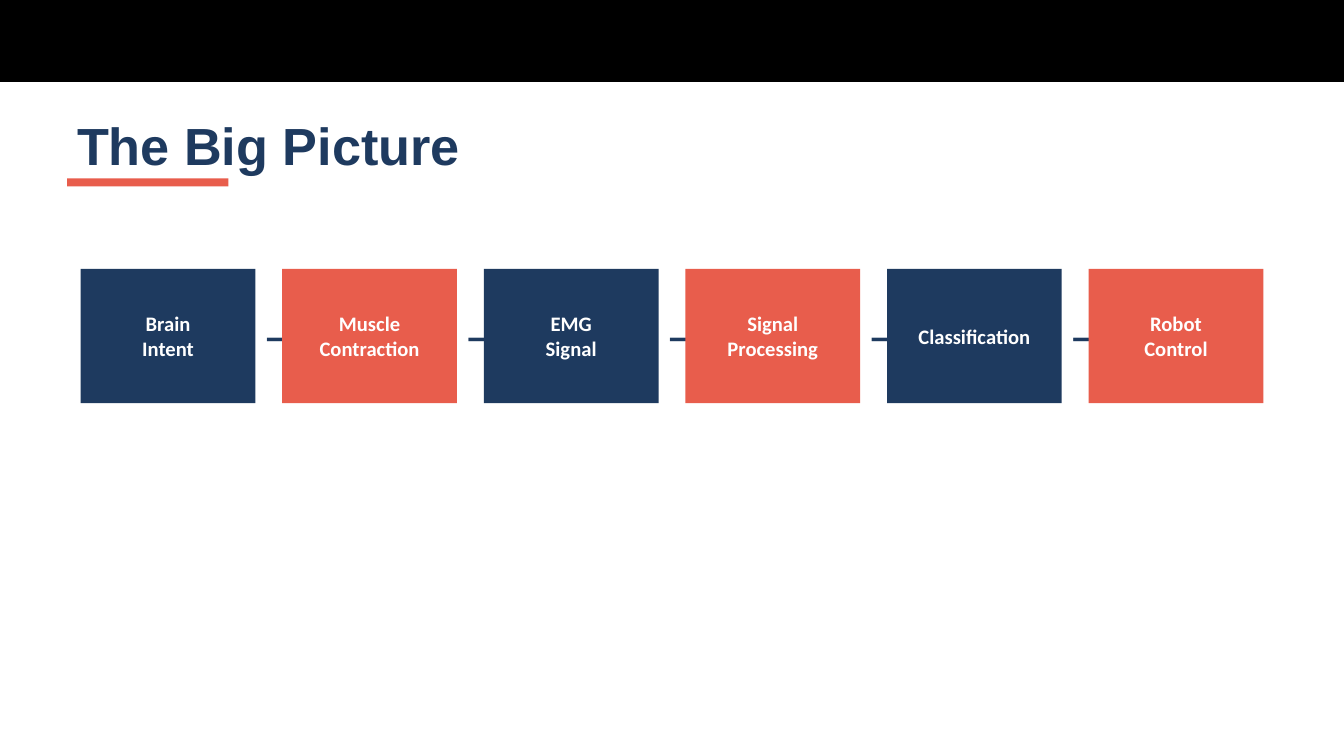
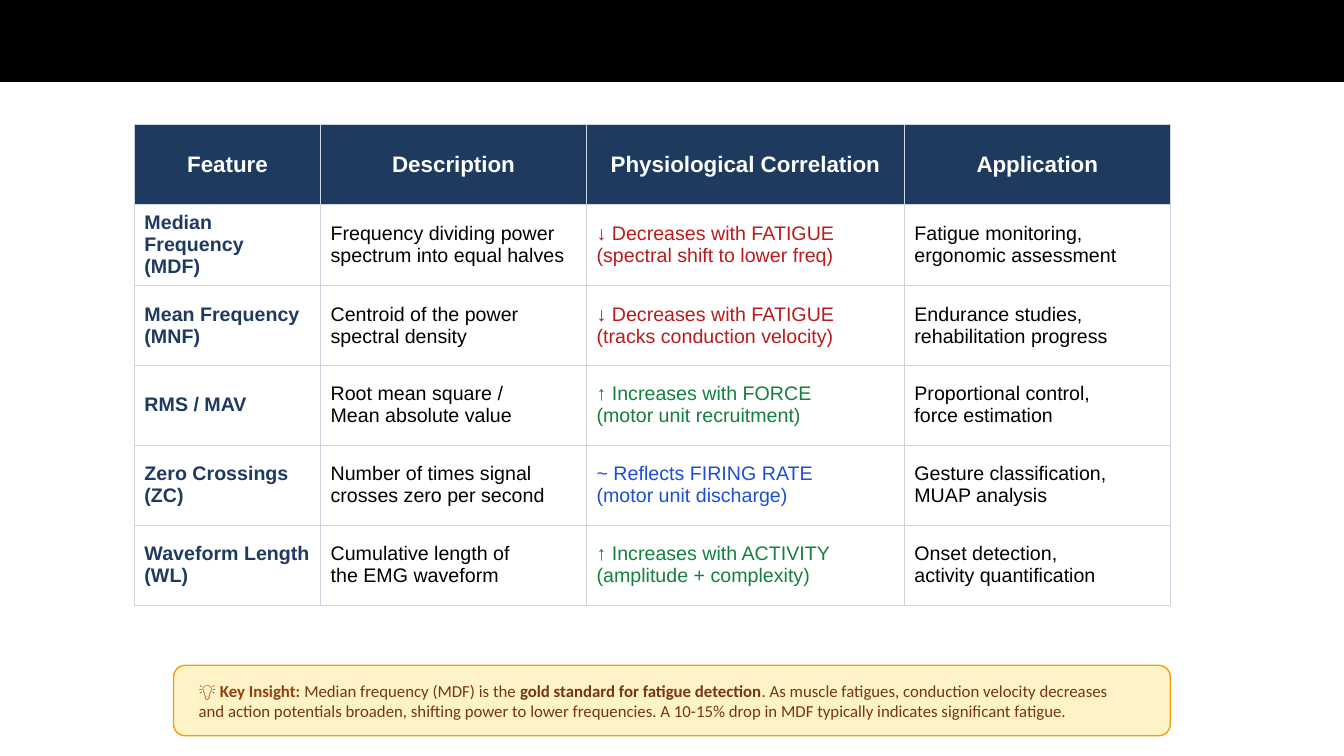
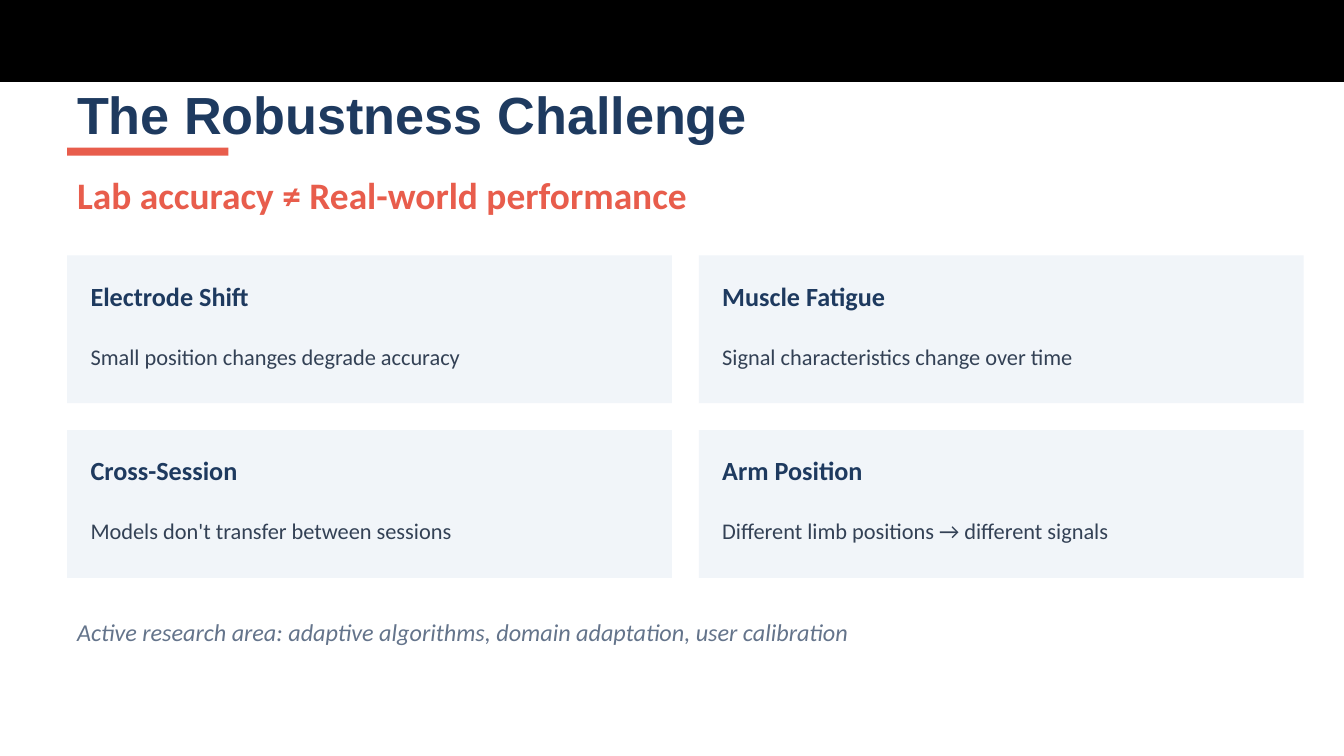
from dataclasses import dataclass, replace

from lxml.etree import SubElement
from pptx import Presentation
from pptx.dml.color import RGBColor
from pptx.enum.shapes import MSO_SHAPE as Preset
from pptx.enum.text import MSO_ANCHOR as Anchor, PP_ALIGN as Align
from pptx.oxml.ns import qn
from pptx.util import Pt


@dataclass(frozen=True)
class Style:
    size: float
    color: str
    font: str = "Calibri"
    bold: bool = False
    italic: bool = False


@dataclass(frozen=True)
class Theme:
    # Colours
    band: str = "000000"
    white: str = "FFFFFF"
    navy: str = "1E3A5F"
    coral: str = "E85D4C"
    card: str = "F1F5F9"
    grid: str = "CBD5E1"
    note_fill: str = "FEF3C7"
    note_line: str = "F59E0B"
    falls: str = "B91C1C"
    rises: str = "15803D"
    varies: str = "1D4ED8"
    # Type
    title: Style = Style(37.3, "1E3A5F", "Arial", bold=True)
    subtitle: Style = Style(26.7, "E85D4C", bold=True)
    step: Style = Style(14.7, "FFFFFF", bold=True)
    arrow: Style = Style(32, "1E3A5F")
    card_title: Style = Style(18.7, "1E3A5F", bold=True)
    card_body: Style = Style(16, "334155")
    closing: Style = Style(17.3, "64748B", italic=True)
    table_head: Style = Style(16, "FFFFFF", "Arial", bold=True)
    table_label: Style = Style(14, "1E3A5F", "Arial", bold=True)
    table_body: Style = Style(14, "000000", "Arial")
    note_label: Style = Style(12, "92400E", bold=True)
    note: Style = Style(12, "78350F")


THEME = Theme()
WIDTH, HEIGHT = 960, 540
MARGIN = 48
CONTENT_WIDTH = WIDTH - 2 * MARGIN

STEPS = ["Brain\nIntent", "Muscle\nContraction", "EMG\nSignal",
         "Signal\nProcessing", "Classification", "Robot\nControl"]

HEADINGS = ["Feature", "Description", "Physiological Correlation", "Application"]
# Each row: feature, description, correlation, application, correlation colour
FEATURES = [
    ("Median Frequency\n(MDF)", "Frequency dividing power\nspectrum into equal halves",
     "↓ Decreases with FATIGUE\n(spectral shift to lower freq)",
     "Fatigue monitoring,\nergonomic assessment", THEME.falls),
    ("Mean Frequency\n(MNF)", "Centroid of the power\nspectral density",
     "↓ Decreases with FATIGUE\n(tracks conduction velocity)",
     "Endurance studies,\nrehabilitation progress", THEME.falls),
    ("RMS / MAV", "Root mean square /\nMean absolute value",
     "↑ Increases with FORCE\n(motor unit recruitment)",
     "Proportional control,\nforce estimation", THEME.rises),
    ("Zero Crossings\n(ZC)", "Number of times signal\ncrosses zero per second",
     "~ Reflects FIRING RATE\n(motor unit discharge)",
     "Gesture classification,\nMUAP analysis", THEME.varies),
    ("Waveform Length\n(WL)", "Cumulative length of\nthe EMG waveform",
     "↑ Increases with ACTIVITY\n(amplitude + complexity)",
     "Onset detection,\nactivity quantification", THEME.rises),
]

CHALLENGES = [
    ("Electrode Shift", "Small position changes degrade accuracy"),
    ("Muscle Fatigue", "Signal characteristics change over time"),
    ("Cross-Session", "Models don't transfer between sessions"),
    ("Arm Position", "Different limb positions → different signals"),
]


def rgb(color):
    return RGBColor.from_string(color)


def points(*lengths):
    return [Pt(length) for length in lengths]


# Text
def add_span(para, text, style):
    span = para.add_run()
    span.text = text
    font = span.font
    font.size, font.name = Pt(style.size), style.font
    font.bold, font.italic = style.bold, style.italic
    font.color.rgb = rgb(style.color)


def write(frame, text, style, align=Align.LEFT):
    """Write each line of the text as its own paragraph."""
    for index, line in enumerate(text.split("\n")):
        para = frame.add_paragraph() if index else frame.paragraphs[0]
        para.alignment = align
        add_span(para, line, style)


def add_text(page, text, style, left, top, width, height):
    frame = page.shapes.add_textbox(*points(left, top, width, height)).text_frame
    frame.word_wrap = True
    frame.vertical_anchor = Anchor.MIDDLE
    write(frame, text, style)


# Shapes
def add_box(page, fill, left, top, width, height, preset=Preset.RECTANGLE, line=None):
    box = page.shapes.add_shape(preset, *points(left, top, width, height))
    box.shadow.inherit = False
    box.fill.solid()
    box.fill.fore_color.rgb = rgb(fill)
    if line:
        box.line.color.rgb = rgb(line)
        box.line.width = Pt(1)
    else:
        box.line.fill.background()
    box.text_frame.word_wrap = True
    box.text_frame.vertical_anchor = Anchor.MIDDLE
    return box


def add_title(page, text, top):
    add_text(page, text, THEME.title, MARGIN, top, CONTENT_WIDTH, 57.6)
    add_box(page, THEME.coral, MARGIN, top + 53, 115.2, 5.8)


def add_step(page, text, fill, left, top, width, height):
    box = add_box(page, fill, left, top, width, height)
    write(box.text_frame, text, THEME.step, Align.CENTER)


def add_card(page, title, body, left, top, width, height):
    pad = 9.6
    add_box(page, THEME.card, left, top, width, height)
    add_text(page, title, THEME.card_title, left + pad, top + pad, width - 2 * pad, 38.4)
    add_text(page, body, THEME.card_body, left + pad, top + 48, width - 2 * pad, 48)


def add_note(page, spans, left, top, width, height):
    box = add_box(page, THEME.note_fill, left, top, width, height,
                  Preset.ROUNDED_RECTANGLE, THEME.note_line)
    frame = box.text_frame
    frame.margin_left, frame.margin_right = points(15.5, 28)
    para = frame.paragraphs[0]
    para.alignment = Align.LEFT
    for text, style in spans:
        add_span(para, text, style)


# Table
def style_cell(cell, text, style, fill, align=Align.LEFT):
    properties = cell._tc.get_or_add_tcPr()
    for side in ("a:lnL", "a:lnR", "a:lnT", "a:lnB"):
        edge = SubElement(properties, qn(side), w=str(Pt(0.5)))
        paint = SubElement(edge, qn("a:solidFill"))
        SubElement(paint, qn("a:srgbClr"), val=THEME.grid)
    cell.fill.solid()
    cell.fill.fore_color.rgb = rgb(fill)
    cell.vertical_anchor = Anchor.MIDDLE
    write(cell.text_frame, text, style, align)


def add_feature_table(page, left, top, column_widths, row_height):
    row_count = len(FEATURES) + 1
    table = page.shapes.add_table(
        row_count, len(HEADINGS),
        *points(left, top, sum(column_widths), row_count * row_height)).table
    table.first_row = table.horz_banding = False
    for column, width in zip(table.columns, column_widths):
        column.width = Pt(width)
    for row in table.rows:
        row.height = Pt(row_height)
    for index, heading in enumerate(HEADINGS):
        style_cell(table.cell(0, index), heading, THEME.table_head, THEME.navy, Align.CENTER)
    for row_index, (*texts, color) in enumerate(FEATURES, 1):
        body = THEME.table_body
        styles = [THEME.table_label, body, replace(body, color=color), body]
        for index, (text, style) in enumerate(zip(texts, styles)):
            style_cell(table.cell(row_index, index), text, style, THEME.white)


# Pages
def add_page(deck):
    return deck.slides.add_slide(deck.slide_layouts[6])


def add_master_band(deck, page):
    """Draw the top band and move it to the master, so every page shows it."""
    band = add_box(page, THEME.band, 0, 0, WIDTH, 58.5)
    deck.slide_master.element.cSld.spTree.append(band.element)


def build_big_picture(page):
    add_title(page, "The Big Picture", 74.4)
    left, top, width, height, pitch = 57.6, 192, 124.8, 96, 144
    for index, step in enumerate(STEPS):
        step_left = left + index * pitch
        fill = THEME.coral if index % 2 else THEME.navy
        add_step(page, step, fill, step_left, top, width, height)
        if index < len(STEPS) - 1:
            add_text(page, "→", THEME.arrow, step_left + width, top + 24, 28.8, 48)


def build_features(page):
    add_feature_table(page, 96, 89, [133, 190, 227, 190], 57.1)
    strong = replace(THEME.note, bold=True)
    add_note(page, [
        ("💡 Key Insight: ", THEME.note_label),
        ("Median frequency (MDF) is the ", THEME.note),
        ("gold standard for fatigue detection", strong),
        (". As muscle fatigues, conduction velocity decreases and action potentials "
         "broaden, shifting power to lower frequencies. A 10-15% drop in MDF "
         "typically indicates significant fatigue.", THEME.note),
    ], 124, 475.2, 712, 50.4)


def build_robustness(page):
    add_title(page, "The Robustness Challenge", 52.4)
    add_text(page, "Lab accuracy ≠ Real-world performance", THEME.subtitle,
             MARGIN, 115.2, CONTENT_WIDTH, 48)
    top, width, height, gap = 182.4, 432, 105.6, 19.2
    for index, (title, body) in enumerate(CHALLENGES):
        row, column = divmod(index, 2)
        add_card(page, title, body, MARGIN + column * (width + gap),
                 top + row * (height + gap), width, height)
    add_text(page, "Active research area: adaptive algorithms, domain adaptation, user calibration",
             THEME.closing, MARGIN, 432, CONTENT_WIDTH, 38.4)


def main():
    deck = Presentation()
    deck.slide_width, deck.slide_height = points(WIDTH, HEIGHT)
    pages = [add_page(deck) for _ in range(3)]
    add_master_band(deck, pages[0])
    for build, page in zip((build_big_picture, build_features, build_robustness), pages):
        build(page)
    deck.save("out.pptx")


if __name__ == "__main__":
    main()
